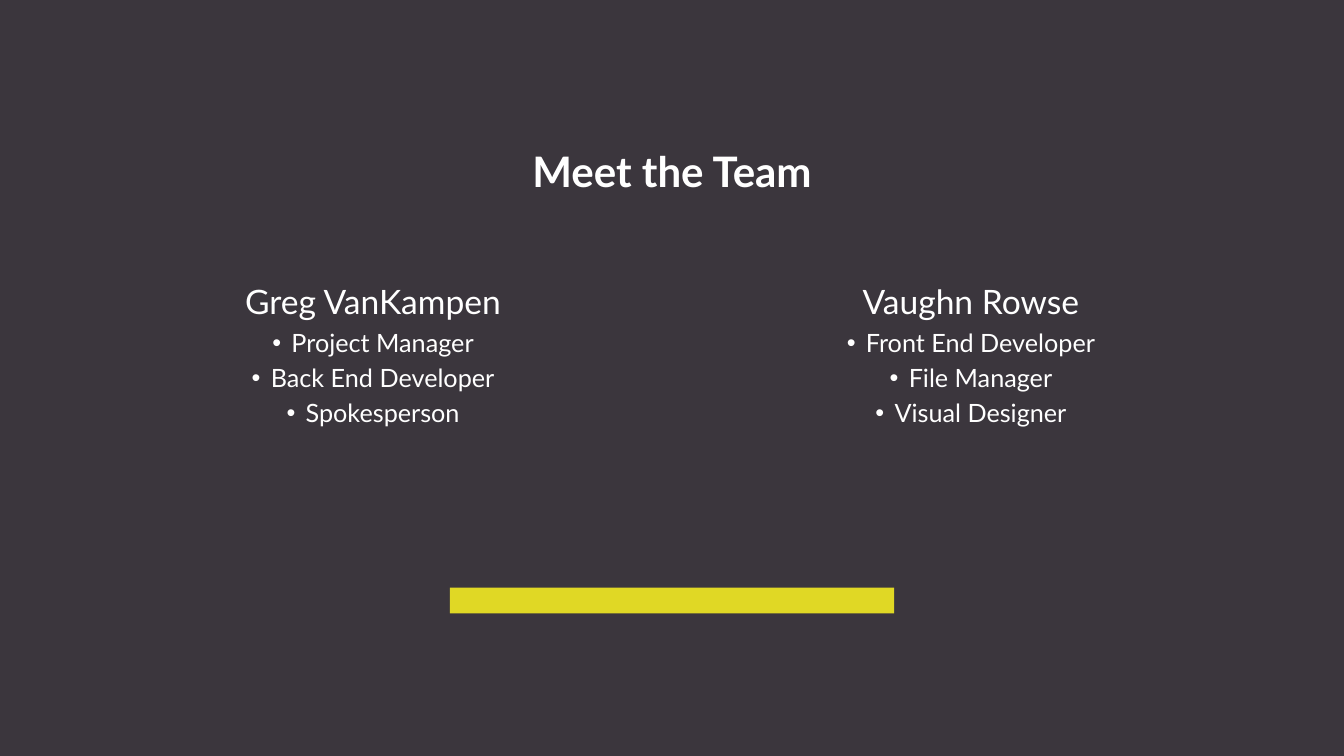
from pptx import Presentation
from pptx.dml.color import RGBColor
from pptx.enum.shapes import MSO_SHAPE as Shape
from pptx.enum.text import MSO_AUTO_SIZE as AutoSize, PP_ALIGN as Align
from pptx.oxml.ns import qn
from pptx.util import Emu, Pt
from lxml import etree

# Content
TITLE = "Meet the Team"
TEAM = [
    ("Greg VanKampen", ["Project Manager", "Back End Developer", "Spokesperson"]),
    ("Vaughn Rowse", ["Front End Developer", "File Manager", "Visual Designer"]),
]

# Layout in px, 100 px to the inch
PX = 9144
WIDTH, HEIGHT = 2666, 1500
COLUMN_LEFT, COLUMN_STEP, COLUMN_WIDTH = 260, 1186, 960
NAME_WIDTH, NAME_TOP, ROLES_TOP = 780, 552, 638
TITLE_WIDTH = 594
BAR_WIDTH, BAR_HEIGHT, BAR_TOP = 881, 51, 1166
BULLET_INDENT = 38

FONT, WHITE, DARK, YELLOW = "Lato", "FFFFFF", "3B363D", "E0D825"


def px(n):
    return Emu(round(n * PX))


def color(value):
    return RGBColor.from_string(value)


def add_rect(s, x, y, w, h, fill):
    sp = s.shapes.add_shape(Shape.RECTANGLE, px(x), px(y), px(w), px(h))
    sp.shadow.inherit = False
    sp.fill.solid()
    sp.fill.fore_color.rgb = color(fill)
    sp.line.fill.background()


def add_bullet(p):
    pPr = p._p.get_or_add_pPr()
    pPr.set("marL", str(px(BULLET_INDENT)))
    pPr.set("indent", str(-px(BULLET_INDENT)))
    etree.SubElement(pPr, qn("a:buFont"), typeface="Arial")
    etree.SubElement(pPr, qn("a:buChar"), char="•")


def add_text(s, lines, x, y, w, h, size, bold=False, wrap=True,
             inset=(10, 5), bullets=False):
    tf = s.shapes.add_textbox(px(x), px(y), px(w), px(h)).text_frame
    tf.word_wrap = wrap
    tf.auto_size = AutoSize.SHAPE_TO_FIT_TEXT
    tf.margin_left = tf.margin_right = px(inset[0])
    tf.margin_top = tf.margin_bottom = px(inset[1])
    for i, line in enumerate(lines):
        p = tf.add_paragraph() if i else tf.paragraphs[0]
        p.alignment = Align.CENTER
        if bullets:
            p.line_spacing = Pt(43)
            p.space_before = Pt(size * 0.2)
            add_bullet(p)
        r = p.add_run()
        r.text = line
        r.font.name, r.font.size, r.font.bold = FONT, Pt(size), bold
        r.font.color.rgb = color(WHITE)


prs = Presentation()
prs.slide_width, prs.slide_height = px(WIDTH), px(HEIGHT)
s = prs.slides.add_slide(prs.slide_layouts[6])

# Backdrop
add_rect(s, 0, 0, WIDTH, HEIGHT, DARK)

# One column per team member
for i, (name, roles) in enumerate(TEAM):
    left = COLUMN_LEFT + i * COLUMN_STEP
    name_left = left + (COLUMN_WIDTH - NAME_WIDTH) / 2
    add_text(s, [name], name_left, NAME_TOP, NAME_WIDTH, 91, 48)
    add_text(s, roles, left, ROLES_TOP, COLUMN_WIDTH, 229, 36,
             inset=(24, 12), bullets=True)

# Title and accent bar, centred on the slide
add_text(s, [TITLE], (WIDTH - TITLE_WIDTH) / 2, 283, TITLE_WIDTH, 111, 60,
         bold=True, wrap=False)
add_rect(s, (WIDTH - BAR_WIDTH) / 2, BAR_TOP, BAR_WIDTH, BAR_HEIGHT, YELLOW)

prs.save("out.pptx")
